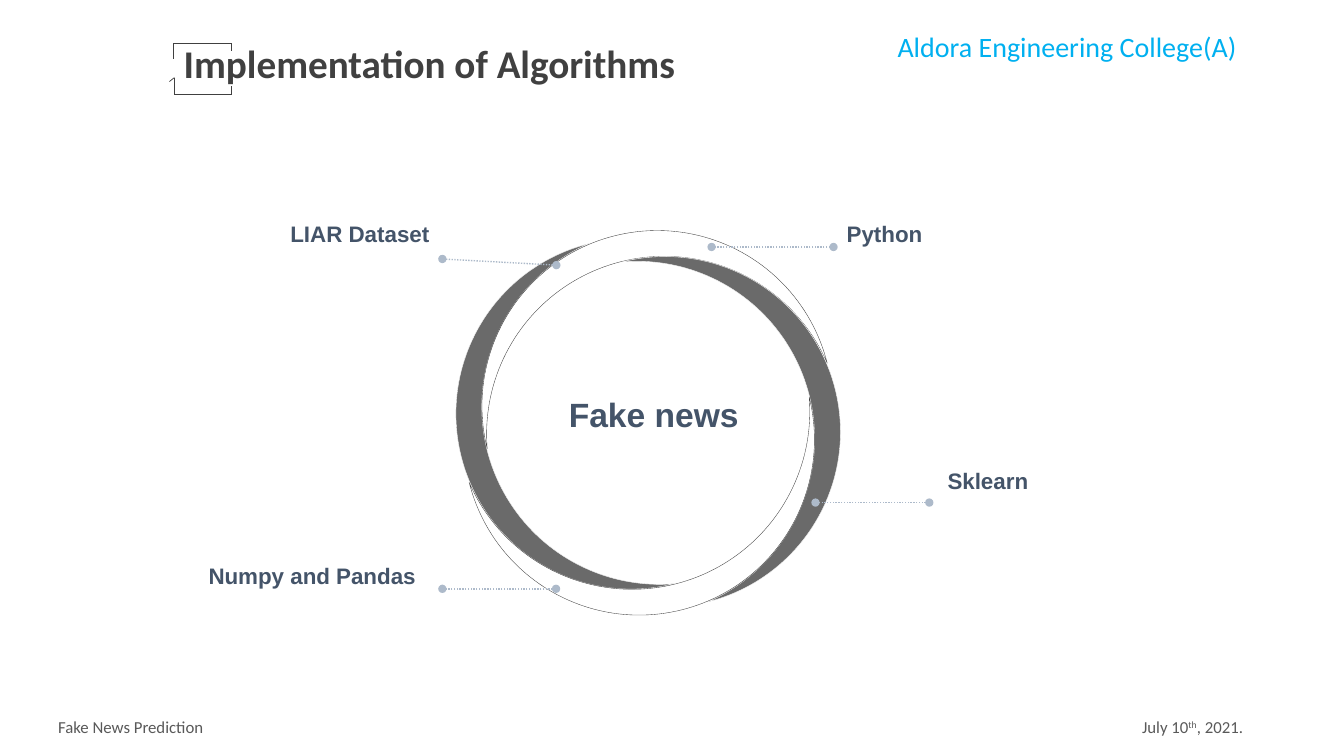
"""Build the slide on the algorithms behind fake news prediction."""
from dataclasses import dataclass

from lxml import etree
from pptx import Presentation
from pptx.dml.color import RGBColor
from pptx.enum.dml import MSO_LINE
from pptx.enum.shapes import MSO_CONNECTOR, MSO_SHAPE
from pptx.enum.text import MSO_ANCHOR, MSO_AUTO_SIZE, PP_ALIGN
from pptx.oxml.ns import qn
from pptx.util import Pt

LEFT, CENTER, RIGHT = PP_ALIGN.LEFT, PP_ALIGN.CENTER, PP_ALIGN.RIGHT
TOP, MIDDLE, FIT_NONE = MSO_ANCHOR.TOP, MSO_ANCHOR.MIDDLE, MSO_AUTO_SIZE.NONE
STRAIGHT, MOON = MSO_CONNECTOR.STRAIGHT, MSO_SHAPE.MOON
DOTTED = MSO_LINE.ROUND_DOT

COLORS = {
    "heading": "404040",
    "college": "00B0F0",
    "label": "445469",
    "footer": "595959",
    "moon": "6A6A6A",
    "moon_edge": "F8F8F8",
    "leader": "ADBACA",
}

RING_CENTER = (463, 302)
RING_OFFSET = (-72.8, 8.8)
MOON_SIZE = (125.3, 250.4)
MOON_DEPTH = 0.152
FIRST_ANGLE = 345.9


@dataclass(frozen=True)
class Stroke:
    start: tuple[float, float]
    end: tuple[float, float]
    width: float


@dataclass(frozen=True)
class Callout:
    text: str
    left: float
    top: float
    width: float
    align: PP_ALIGN
    start: tuple[float, float]
    end: tuple[float, float]


BRACKET = [
    Stroke((124, 31), (124, 42.5), 0.25),
    Stroke((124, 31), (165, 31), 0.5),
    Stroke((165, 31), (165, 36.7), 0.25),
    Stroke((165, 67.7), (165, 61.2), 0.25),
    Stroke((165, 67.7), (124.6, 67.7), 0.5),
    Stroke((124.6, 67.7), (124.6, 55.4), 0.25),
    Stroke((124.6, 55.4), (121, 58.3), 0.5),
]

CALLOUTS = [
    Callout("Python", 604.8, 157, 99.4, LEFT, (595.4, 176.4), (508.3, 176.4)),
    Callout("Numpy and Pandas", 143, 401.4, 154, RIGHT, (397.2, 420.6), (316, 420.6)),
    Callout("Sklearn", 676.8, 334, 154, LEFT, (663.8, 359), (582.5, 359)),
    Callout("LIAR Dataset", 133.2, 157, 173.5, RIGHT, (316, 185), (397.4, 189.4)),
]


def rgb(name: str) -> RGBColor:
    """Return the named colour."""
    return RGBColor.from_string(COLORS[name])


def write(frame, text: str, *, size: float, color: str, font: str = "Calibri",
          bold: bool = False, align: PP_ALIGN = LEFT, superscript: bool = False) -> None:
    """Append a formatted run to the first paragraph of a frame."""
    paragraph = frame.paragraphs[0]
    paragraph.alignment = align
    run = paragraph.add_run()
    run.text = text
    run.font.size, run.font.name, run.font.bold = Pt(size), font, bold
    run.font.color.rgb = rgb(color)
    if superscript:
        run.font._element.set("baseline", "30000")


def add_frame(slide, left: float, top: float, width: float, height: float,
              padded: bool = True):
    """Add a wrapping text box and return its text frame."""
    frame = slide.shapes.add_textbox(Pt(left), Pt(top), Pt(width), Pt(height)).text_frame
    frame.word_wrap = True
    if not padded:
        frame.margin_left = frame.margin_right = 0
        frame.margin_top = frame.margin_bottom = 0
    return frame


def add_line(slide, start: tuple[float, float], end: tuple[float, float],
             width: float, color: str, dotted: bool = False) -> None:
    """Draw a plain line, or a dotted one with a round dot at each end."""
    line = slide.shapes.add_connector(STRAIGHT, *map(Pt, start + end))
    line.line.width = Pt(width)
    line.line.color.rgb = rgb(color)
    properties = line._element.spPr
    if dotted:
        line.line.dash_style = DOTTED
        outline = properties.find(qn("a:ln"))
        for tip in ("a:headEnd", "a:tailEnd"):
            etree.SubElement(outline, qn(tip), type="oval")
    etree.SubElement(properties, qn("a:effectLst"))


def add_ring(slide) -> None:
    """Draw four moons, each a quarter turn further, filled and open by turns."""
    width, height = MOON_SIZE
    dx, dy = RING_OFFSET
    for quarter in range(4):
        left = RING_CENTER[0] + dx - width / 2
        top = RING_CENTER[1] + dy - height / 2
        moon = slide.shapes.add_shape(MOON, Pt(left), Pt(top), Pt(width), Pt(height))
        moon.adjustments[0] = MOON_DEPTH
        moon.rotation = (FIRST_ANGLE + 90 * quarter) % 360
        moon.shadow.inherit = False
        moon.line.width = Pt(0.25)
        if quarter % 2:
            moon.fill.background()
            moon.line.color.rgb = rgb("heading")
        else:
            moon.fill.solid()
            moon.fill.fore_color.rgb = rgb("moon")
            moon.line.color.rgb = rgb("moon_edge")
        dx, dy = -dy, dx


def add_title(slide) -> None:
    """Place and format the slide title."""
    title = slide.shapes.title
    title.left, title.top, title.width, title.height = map(Pt, (124, 24.5, 432, 41))
    frame = title.text_frame
    frame.auto_size = FIT_NONE
    frame.vertical_anchor = MIDDLE
    write(frame, "Implementation of Algorithms", size=28, color="heading", bold=True)


def add_callout(slide, callout: Callout) -> None:
    """Write a label and draw its leader to the ring."""
    add_line(slide, callout.start, callout.end, 1, "leader", dotted=True)
    frame = add_frame(slide, callout.left, callout.top, callout.width, 19.4, padded=False)
    frame.vertical_anchor = TOP
    write(frame, callout.text, size=16, color="label", font="Arial", bold=True,
          align=callout.align)


def add_footer(slide) -> None:
    """Write the project name on the left and the date on the right."""
    project = add_frame(slide, 34.4, 508.3, 300, 21.8)
    write(project, "Fake News Prediction", size=12, color="footer")
    date = add_frame(slide, 702, 508.3, 193, 21.8)
    for text, raised in (("July 10", False), ("th", True), (", 2021.", False)):
        write(date, text, size=12, color="footer", align=RIGHT, superscript=raised)


def main() -> None:
    """Build and save the presentation."""
    deck = Presentation()
    deck.slide_width, deck.slide_height = Pt(960), Pt(540)
    slide = deck.slides.add_slide(deck.slide_layouts[5])
    for stroke in BRACKET:
        add_line(slide, stroke.start, stroke.end, stroke.width, "heading")
    add_title(slide)
    add_ring(slide)
    topic = add_frame(slide, 383.8, 278, 166.3, 36)
    write(topic, "Fake news", size=24, color="label", font="Arial", bold=True, align=CENTER)
    for callout in CALLOUTS:
        add_callout(slide, callout)
    college = add_frame(slide, 634, 17.3, 262, 31.7)
    write(college, "Aldora Engineering College(A)", size=20, color="college")
    add_footer(slide)
    deck.save("out.pptx")


if __name__ == "__main__":
    main()
